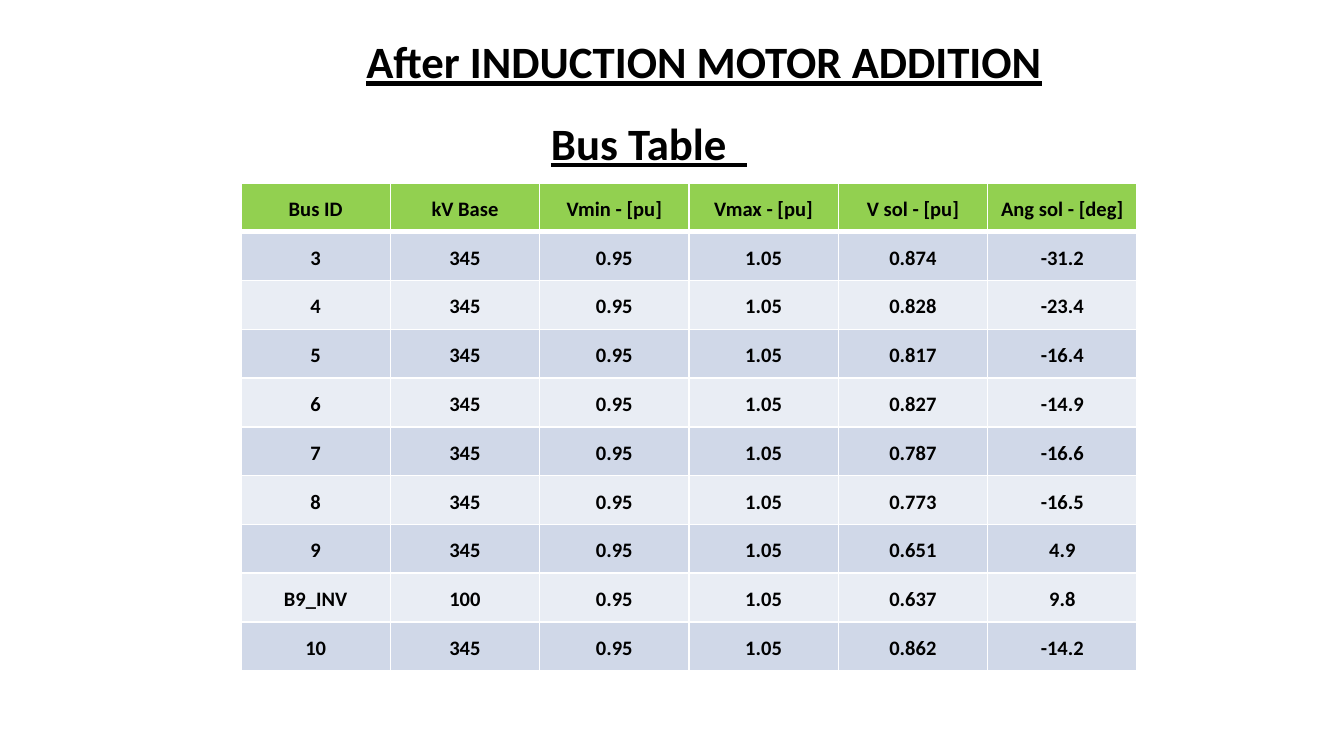
from lxml.etree import SubElement
from pptx import Presentation
from pptx.dml.color import RGBColor
from pptx.enum.text import MSO_ANCHOR, PP_ALIGN
from pptx.oxml.ns import qn
from pptx.util import Pt

EMU_PER_PX = 914400 / 134.4
FONT = "Calibri"
BLACK = RGBColor(0x00, 0x00, 0x00)
WHITE = RGBColor(0xFF, 0xFF, 0xFF)
HEADER_GREEN = RGBColor(0x92, 0xD0, 0x50)
BANDS = [RGBColor(0xD0, 0xD8, 0xE8), RGBColor(0xE9, 0xED, 0xF4)]

# Text, (left, top, width, height) in px, vertical anchor
HEADINGS = [
    ("After INDUCTION MOTOR ADDITION", (200, 35, 1008, 52), MSO_ANCHOR.MIDDLE),
    ("Bus Table  ", (145, 109, 1008, 42), MSO_ANCHOR.TOP),
]
HEADER = ["Bus ID", "kV Base", "Vmin - [pu]", "Vmax - [pu]", "V sol - [pu]", "Ang sol - [deg]"]
V_MIN, V_MAX = "0.95", "1.05"
# Bus ID, kV base, solved voltage, solved angle
BUSES = [
    ("3", "345", "0.874", "-31.2"),
    ("4", "345", "0.828", "-23.4"),
    ("5", "345", "0.817", "-16.4"),
    ("6", "345", "0.827", "-14.9"),
    ("7", "345", "0.787", "-16.6"),
    ("8", "345", "0.773", "-16.5"),
    ("9", "345", "0.651", "4.9"),
    ("B9_INV", "100", "0.637", "9.8"),
    ("10", "345", "0.862", "-14.2"),
]
TABLE_AREA = (241, 183, 896, 488)


def px(length):
    return round(length * EMU_PER_PX)


def style_text(para, size, underline=False):
    para.alignment = PP_ALIGN.CENTER
    for span in para.runs:
        font = span.font
        font.name, font.size, font.bold = FONT, Pt(size), True
        font.color.rgb = BLACK
        if underline:
            font.underline = True


def add_heading(page, text, area, anchor):
    box = page.shapes.add_textbox(*map(px, area))
    frame = box.text_frame
    frame.word_wrap = True
    frame.vertical_anchor = anchor
    frame.text = text
    style_text(frame.paragraphs[0], 24, underline=True)


def set_borders(cell, top, bottom):
    """Draw white cell edges; top and bottom are widths in points."""
    properties = cell._tc.get_or_add_tcPr()
    for edge, width in (("lnL", 1), ("lnR", 1), ("lnT", top), ("lnB", bottom)):
        line = SubElement(properties, qn(f"a:{edge}"), w=str(Pt(width)))
        fill = SubElement(line, qn("a:solidFill"))
        SubElement(fill, qn("a:srgbClr"), val=str(WHITE))


def fill_cell(cell, text, row):
    cell.text = text
    cell.vertical_anchor = MSO_ANCHOR.MIDDLE
    cell.margin_left = cell.margin_right = px(8)
    cell.margin_top = cell.margin_bottom = 0
    para = cell.text_frame.paragraphs[0]
    para.line_spacing = 1.15
    style_text(para, 11)
    set_borders(cell, top=3 if row == 1 else 1, bottom=3 if row == 0 else 1)
    cell.fill.solid()
    cell.fill.fore_color.rgb = BANDS[(row - 1) % 2] if row else HEADER_GREEN


def add_bus_table(page):
    rows = [HEADER] + [(bus, base, V_MIN, V_MAX, voltage, angle)
                       for bus, base, voltage, angle in BUSES]
    table = page.shapes.add_table(len(rows), len(HEADER), *map(px, TABLE_AREA)).table
    for column in table.columns:
        column.width = px(TABLE_AREA[2] / len(HEADER))
    for row, values in enumerate(rows):
        table.rows[row].height = px(TABLE_AREA[3] / len(rows))
        for column, text in enumerate(values):
            fill_cell(table.cell(row, column), text, row)


def main():
    deck = Presentation()
    deck.slide_width, deck.slide_height = px(1344), px(756)
    page = deck.slides.add_slide(deck.slide_layouts[6])
    for heading in HEADINGS:
        add_heading(page, *heading)
    add_bus_table(page)
    deck.save("out.pptx")


if __name__ == "__main__":
    main()
